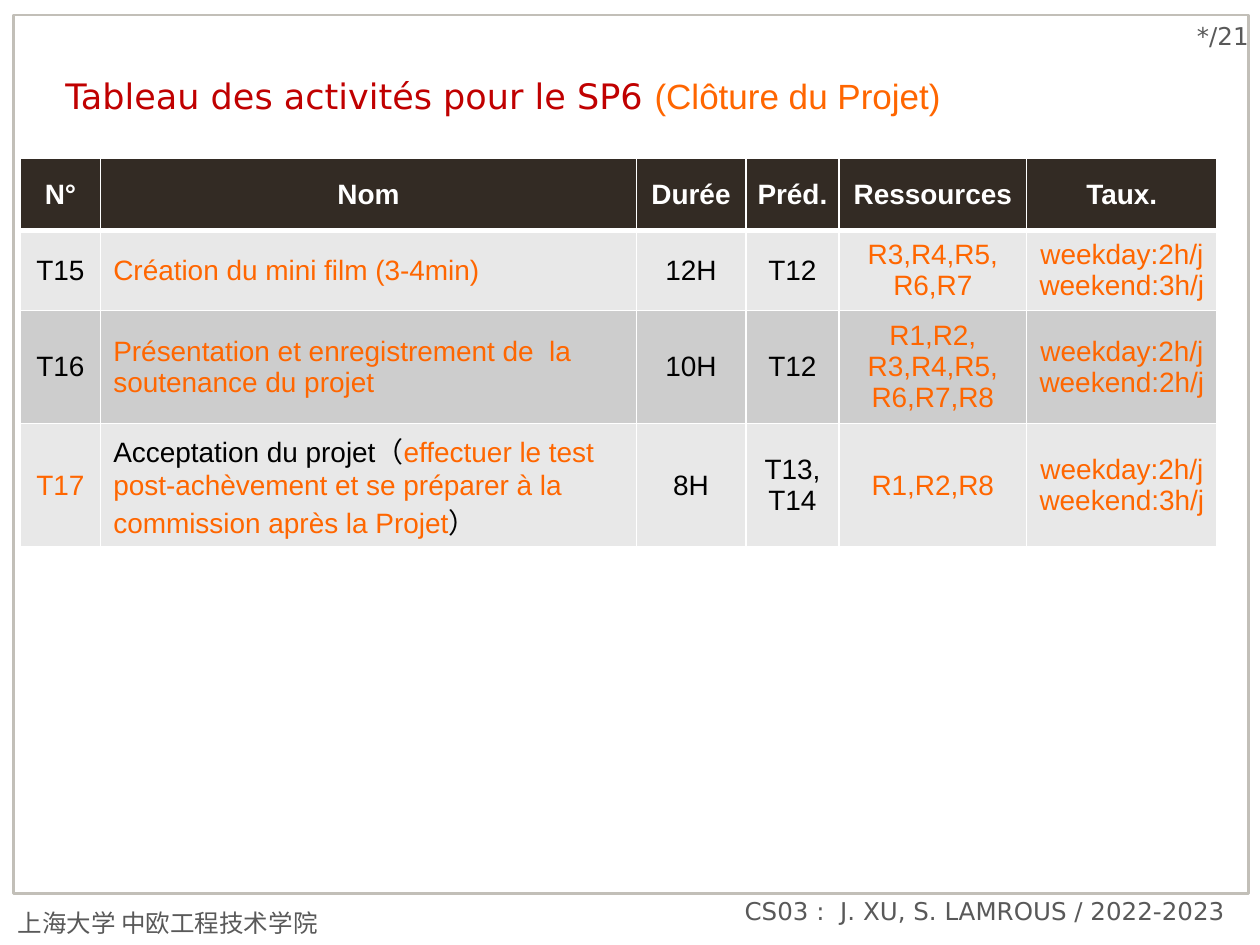
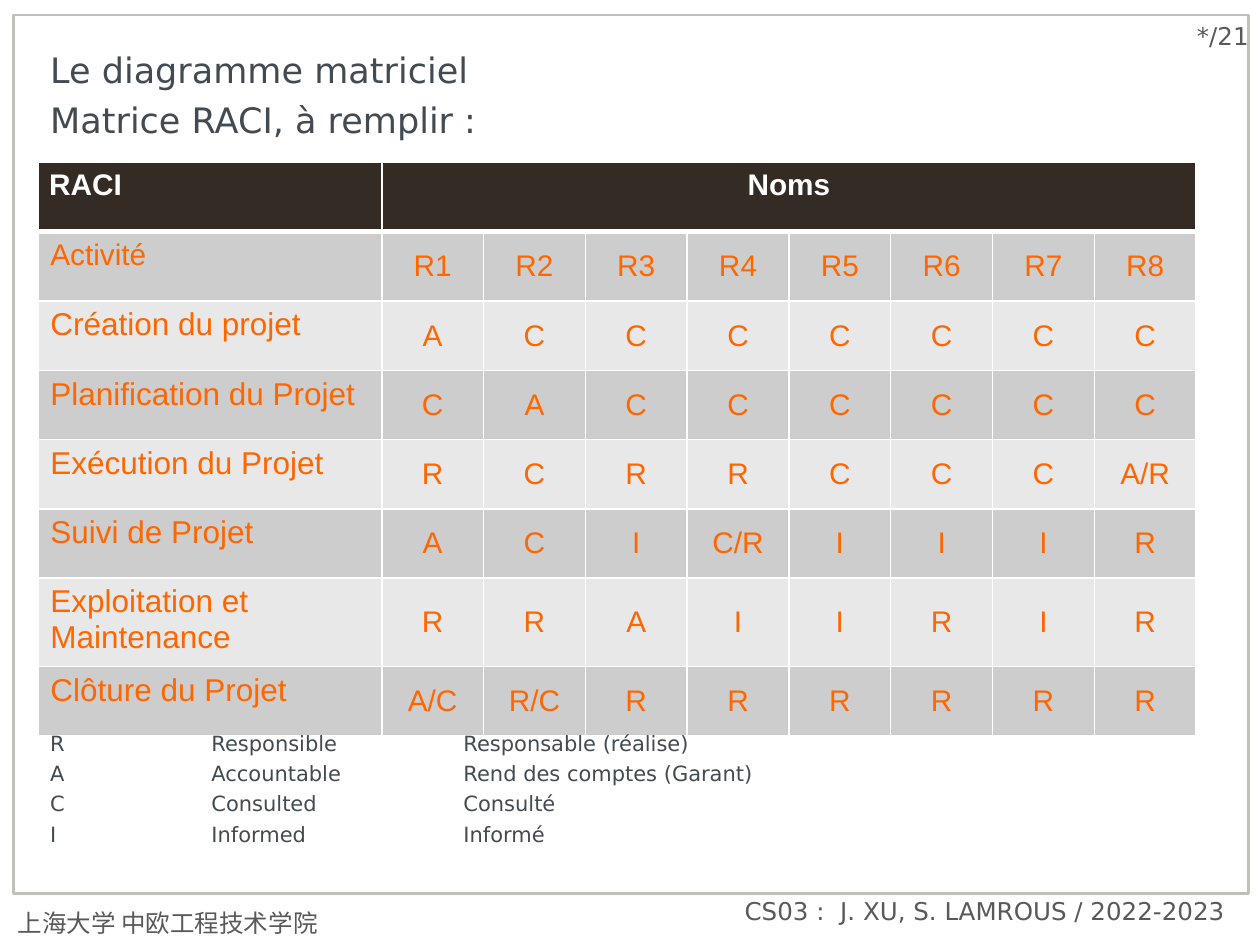
import pptx
import pptx.util
import pptx.dml.color
import pptx.enum.shapes
import pptx.enum.text
import pptx.oxml.ns
import lxml.etree

COLOURS = {
    "frame": "C2BFB8",
    "footer": "595959",
    "red": "C00000",
    "orange": "FF6600",
    "slate": "424A52",
    "black": "000000",
    "white": "FFFFFF",
    "header": "332B24",
    "light": "E8E8E8",
    "grey": "CDCDCD",
}
SANS = "DejaVu Sans"
ARIAL = "Arial"
LEFT = pptx.enum.text.PP_ALIGN.LEFT
CENTER = pptx.enum.text.PP_ALIGN.CENTER
RIGHT = pptx.enum.text.PP_ALIGN.RIGHT
TOP = pptx.enum.text.MSO_ANCHOR.TOP
MIDDLE = pptx.enum.text.MSO_ANCHOR.MIDDLE

presentation = pptx.Presentation()
presentation.slide_width = pptx.util.Inches(10)
presentation.slide_height = pptx.util.Inches(7.5)
COLUMN = presentation.slide_width / 100
ROW = presentation.slide_height / 100


def write_paragraphs(frame, paragraphs, size, alignment=LEFT, bold=False, gap=0):
    for index, runs in enumerate(paragraphs):
        paragraph = frame.paragraphs[0] if index == 0 else frame.add_paragraph()
        paragraph.alignment = alignment
        if index:
            paragraph.space_before = pptx.util.Pt(gap)
        for text, colour, font in runs:
            run = paragraph.add_run()
            run.text = text
            run.font.name = font
            run.font.size = pptx.util.Pt(size)
            run.font.bold = bold
            run.font.color.rgb = pptx.dml.color.RGBColor.from_string(COLOURS[colour])


def add_text(slide, left, top, width, height, paragraphs, size, alignment=LEFT, gap=0):
    box = slide.shapes.add_textbox(
        int(left * COLUMN), int(top * ROW), int(width * COLUMN), int(height * ROW))
    box.text_frame.word_wrap = True
    write_paragraphs(box.text_frame, paragraphs, size, alignment, gap=gap)
    return box


activities = [
    ["N°", "Nom", "Durée", "Préd.", "Ressources", "Taux."],
    [[("T15", "black")], "Création du mini film (3-4min)", [("12H", "black")],
     [("T12", "black")], "R3,R4,R5, R6,R7", "weekday:2h/j\nweekend:3h/j"],
    [[("T16", "black")], "Présentation et enregistrement de  la soutenance du projet",
     [("10H", "black")], [("T12", "black")], "R1,R2, R3,R4,R5, R6,R7,R8",
     "weekday:2h/j\nweekend:2h/j"],
    ["T17",
     [("Acceptation du projet（", "black"),
      ("effectuer le test post-achèvement et se préparer à la commission après la Projet",
       "orange"),
      ("）", "black")],
     [("8H", "black")], [("T13,T14", "black")], "R1,R2,R8", "weekday:2h/j\nweekend:3h/j"],
]
raci = [
    ["RACI", "Noms"] + [""] * 7,
    ["Activité"] + [f"R{number}" for number in range(1, 9)],
    ["Création du projet"] + "A C C C C C C C".split(),
    ["Planification du Projet"] + "C A C C C C C C".split(),
    ["Exécution du Projet"] + "R C R R C C C A/R".split(),
    ["Suivi de Projet"] + "A C I C/R I I I R".split(),
    ["Exploitation et Maintenance"] + "R R A I I R I R".split(),
    ["Clôture du Projet"] + "A/C R/C R R R R R R".split(),
]
pages = [
    {
        "title": [[("Tableau des activités pour le SP6 ", "red", SANS),
                   ("(Clôture du Projet)", "orange", ARIAL)]],
        "title_at": (4.2, 7.2, 89.8, 6),
        "cells": activities, "table_at": (1.6, 16.8),
        "columns": [6.4, 42.5, 8.7, 7.4, 14.9, 15.1],
        "rows": [7.6, 7.87, 11.1, 13.07],
        "bands": ["light", "grey"], "left_column": 1, "anchor": MIDDLE,
        "size": 16, "label_size": 16,
    },
    {
        "title": [[("Le diagramme matriciel", "slate", SANS)],
                  [("Matrice RACI, à remplir :", "slate", SANS)]],
        "title_at": (3, 4.5, 89.8, 11),
        "cells": raci, "table_at": (3, 17.2),
        "columns": [27.3] + [8.08] * 8,
        "rows": [7.33] * 6 + [8.7, 7.33],
        "bands": ["grey", "light"], "left_column": 0, "anchor": TOP,
        "size": 17, "label_size": 18,
    },
]

for page in pages:
    slide = presentation.slides.add_slide(presentation.slide_layouts[6])
    frame = slide.shapes.add_shape(
        pptx.enum.shapes.MSO_SHAPE.RECTANGLE,
        int(1.1 * COLUMN), int(1.6 * ROW), int(98 * COLUMN), int(92.93 * ROW))
    frame.shadow.inherit = False
    frame.fill.background()
    frame.line.color.rgb = pptx.dml.color.RGBColor.from_string(COLOURS["frame"])
    frame.line.width = pptx.util.Pt(1.5)

    page_number = add_text(slide, 87.9, 1.6, 11.2, 4.5, [[("*/21", "footer", SANS)]], 14, RIGHT)
    page_number.text_frame.margin_right = 0
    school = add_text(slide, 1.4, 95.4, 27.4, 3.5,
                      [[("上海大学 中欧工程技术学院", "footer", SANS)]], 14)
    school.text_frame.margin_left = 0
    add_text(slide, 29, 94.13, 69.2, 4.5,
             [[("CS03 :  J. XU, S. LAMROUS / 2022-2023", "footer", SANS)]], 14, RIGHT)
    add_text(slide, *page["title_at"], page["title"], 20, gap=4.7)

    left, top = page["table_at"]
    table = slide.shapes.add_table(
        len(page["rows"]), len(page["columns"]), int(left * COLUMN), int(top * ROW),
        int(sum(page["columns"]) * COLUMN), int(sum(page["rows"]) * ROW)).table
    for table_column, width in zip(table.columns, page["columns"]):
        table_column.width = int(width * COLUMN)
    for table_row, height in zip(table.rows, page["rows"]):
        table_row.height = int(height * ROW)

    for row_index, row in enumerate(page["cells"]):
        is_header = row_index == 0
        for column_index, content in enumerate(row):
            cell = table.cell(row_index, column_index)
            is_label = column_index == page["left_column"]
            centred = not is_label or (is_header and page["anchor"] == MIDDLE)
            cell.margin_left = cell.margin_right = pptx.util.Inches(
                0.1 if is_label and not is_header else 0.09)
            cell.margin_top = cell.margin_bottom = pptx.util.Inches(0.05)
            cell.vertical_anchor = page["anchor"] if is_label or is_header else MIDDLE

            properties = cell._tc.get_or_add_tcPr()
            heavy_side = {0: "lnB", 1: "lnT"}.get(row_index)
            for side in ("lnL", "lnR", "lnT", "lnB"):
                border = lxml.etree.SubElement(
                    properties, pptx.oxml.ns.qn(f"a:{side}"),
                    w=str(pptx.util.Pt(3 if side == heavy_side else 1)))
                border_fill = lxml.etree.SubElement(border, pptx.oxml.ns.qn("a:solidFill"))
                lxml.etree.SubElement(
                    border_fill, pptx.oxml.ns.qn("a:srgbClr"), val=COLOURS["white"])
            band = "header" if is_header else page["bands"][(row_index - 1) % 2]
            cell.fill.solid()
            cell.fill.fore_color.rgb = pptx.dml.color.RGBColor.from_string(COLOURS[band])

            if not content:
                continue
            if isinstance(content, str):
                colour = "white" if is_header else "orange"
                paragraphs = [[(line, colour, ARIAL)] for line in content.split("\n")]
            else:
                paragraphs = [[(text, colour, ARIAL) for text, colour in content]]
            size = page["label_size"] if is_label and row_index > 1 else page["size"]
            write_paragraphs(cell.text_frame, paragraphs, size,
                             CENTER if centred else LEFT, is_header)

    if page["cells"] is raci:
        table.cell(0, 1).merge(table.cell(0, 8))
        meanings = [
            ("R", "Responsible", "Responsable (réalise)"),
            ("A", "Accountable", "Rend des comptes (Garant)"),
            ("C", "Consulted", "Consulté"),
            ("I", "Informed", "Informé"),
        ]
        legend = add_text(slide, 3, 76.67, 89.8, 14,
                          [[("\t".join(meaning), "slate", SANS)] for meaning in meanings],
                          12, gap=2.8)
        for paragraph in legend.text_frame.paragraphs:
            tabs = lxml.etree.SubElement(
                paragraph._p.get_or_add_pPr(), pptx.oxml.ns.qn("a:tabLst"))
            for stop in (12.8, 32.8):
                lxml.etree.SubElement(
                    tabs, pptx.oxml.ns.qn("a:tab"), pos=str(int(stop * COLUMN)), algn="l")

presentation.save("out.pptx")
